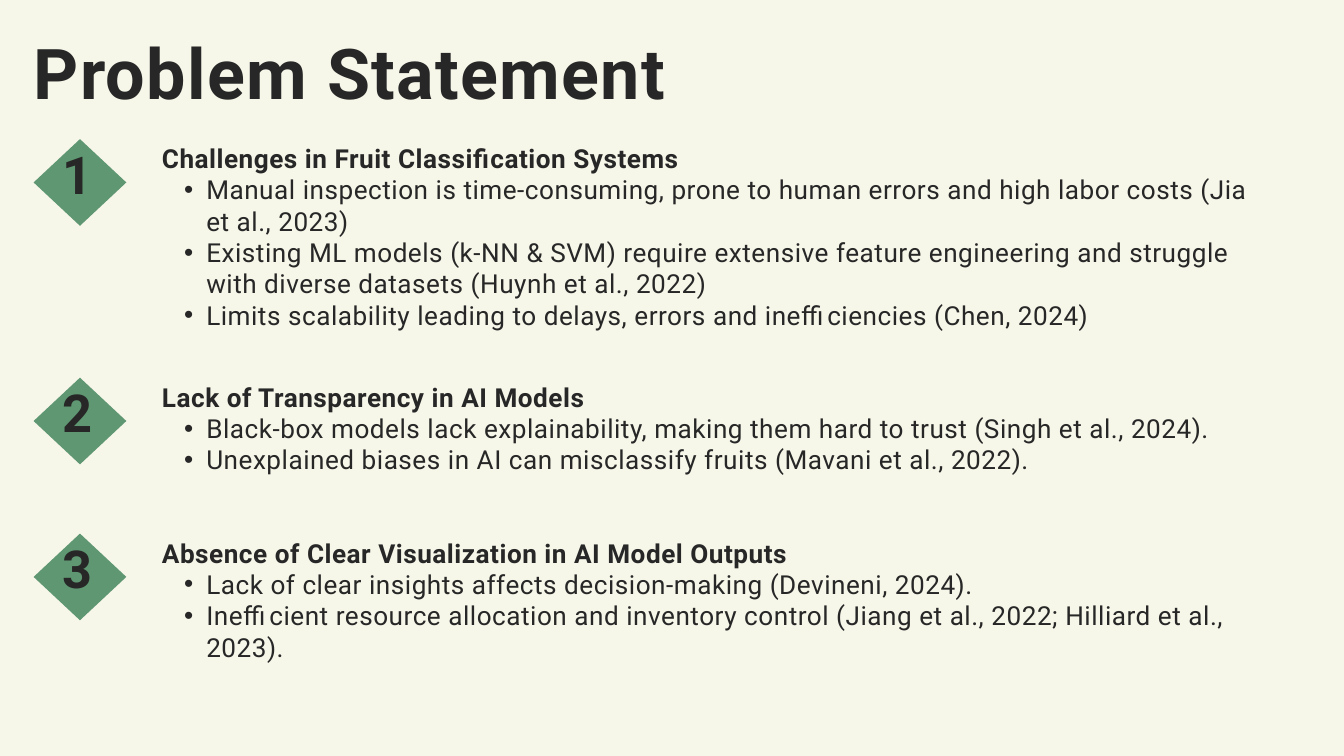
from dataclasses import dataclass

from lxml.etree import SubElement
from pptx import Presentation
from pptx.dml.color import RGBColor
from pptx.enum.shapes import MSO_SHAPE as Shape
from pptx.enum.text import MSO_ANCHOR as Anchor, MSO_AUTO_SIZE as AutoSize, PP_ALIGN as Align
from pptx.oxml.ns import qn
from pptx.util import Inches, Pt

FONT = "Roboto"
COLORS = {"background": "F6F6E9", "text": "272727", "diamond": "5E9771"}


@dataclass
class Problem:
    number: int
    top: float
    height: float
    heading: str
    points: list[str]


PROBLEMS = [
    Problem(1, 2.07, 2.77, "Challenges in Fruit Classification Systems", [
        "Manual inspection is time-consuming, prone to human errors and high labor costs "
        "(Jia et al., 2023)",
        "Existing ML models (k-NN & SVM) require extensive feature engineering and struggle "
        "with diverse datasets (Huynh et al., 2022)",
        "Limits scalability leading to delays, errors and inefficiencies (Chen, 2024)",
    ]),
    Problem(2, 5.62, 1.39, "Lack of Transparency in AI Models", [
        "Black-box models lack explainability, making them hard to trust (Singh et al., 2024).",
        "Unexplained biases in AI can misclassify fruits (Mavani et al., 2022).",
    ]),
    Problem(3, 7.94, 1.85, "Absence of Clear Visualization in AI Model Outputs", [
        "Lack of clear insights affects decision-making (Devineni, 2024).",
        "Inefficient resource allocation and inventory control "
        "(Jiang et al., 2022; Hilliard et al., 2023).",
    ]),
]


def color(name: str) -> RGBColor:
    return RGBColor.from_string(COLORS[name])


def prepare_frame(box):
    """Remove the margins of a text shape and return its frame."""
    frame = box.text_frame
    frame.word_wrap = True
    frame.auto_size = AutoSize.SHAPE_TO_FIT_TEXT
    frame.vertical_anchor = Anchor.TOP
    frame.margin_left = frame.margin_top = frame.margin_right = frame.margin_bottom = 0
    return frame


def add_box(shapes, left: float, top: float, width: float, height: float):
    box = shapes.add_textbox(Inches(left), Inches(top), Inches(width), Inches(height))
    return prepare_frame(box)


def write(para, text: str, *, size: float, leading: float, tracking: float,
          bold: bool = True, bullet: bool = False) -> None:
    """Fill a paragraph with one formatted span."""
    if bullet:
        para.level = 1
        properties = para._p.get_or_add_pPr()
        properties.set("marL", str(Inches(0.66)))
        properties.set("indent", str(Inches(-0.33)))
        SubElement(properties, qn("a:buFont")).set("typeface", "Arial")
        SubElement(properties, qn("a:buChar")).set("char", "•")
    para.alignment = Align.LEFT
    para.line_spacing = Pt(leading)
    para.space_before = Pt(0)
    span = para.add_run()
    span.text = text
    span.font.name = FONT
    span.font.size = Pt(size)
    span.font.bold = bold
    span.font.color.rgb = color("text")
    span._r.get_or_add_rPr().set("spc", str(round(tracking * 100)))


def add_problem(page, problem: Problem) -> None:
    """Draw a numbered diamond with its heading and bullet points."""
    shapes = page.shapes.add_group_shape().shapes
    top = problem.top

    diamond = shapes.add_shape(Shape.DIAMOND, Inches(0.5), Inches(top), Inches(1.38), Inches(1.29))
    diamond.shadow.inherit = False
    diamond.fill.solid()
    diamond.fill.fore_color.rgb = color("diamond")
    diamond.line.fill.background()

    body = add_box(shapes, 2.41, top + 0.05, 16.46, problem.height)
    style = {"size": 28, "leading": 33.6, "tracking": 0.6}
    write(body.paragraphs[0], problem.heading, **style)
    for point in problem.points:
        write(body.add_paragraph(), point, bold=False, bullet=True, **style)

    label = add_box(shapes, 0.93, top + 0.34, 1.4, 0.77)
    write(label.paragraphs[0], str(problem.number), size=56, leading=45.9, tracking=1.1)


def main() -> None:
    deck = Presentation()
    deck.slide_width, deck.slide_height = Inches(20), Inches(11.25)
    page = deck.slides.add_slide(deck.slide_layouts[5])
    page.background.fill.solid()
    page.background.fill.fore_color.rgb = color("background")

    # Title
    title = page.shapes.title
    title.left, title.top = Inches(0.5), Inches(0.65)
    title.width, title.height = Inches(15.18), Inches(1.1)
    write(prepare_frame(title).paragraphs[0], "Problem Statement",
          size=75, leading=75, tracking=1.5)

    # Numbered problems
    for problem in PROBLEMS:
        add_problem(page, problem)

    deck.save("out.pptx")


if __name__ == "__main__":
    main()
